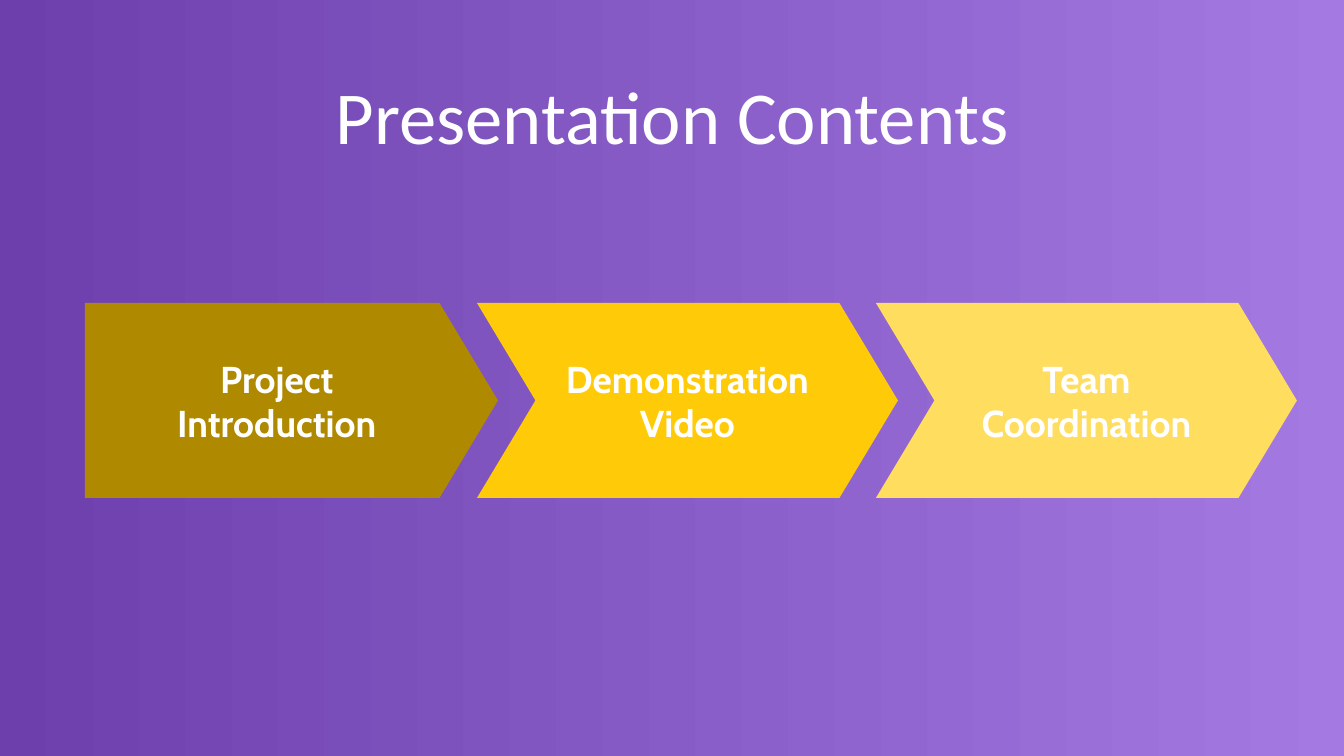
from pptx import Presentation
from pptx.dml.color import RGBColor
from pptx.enum.shapes import MSO_SHAPE
from pptx.enum.text import MSO_ANCHOR, PP_ALIGN
from pptx.util import Pt

PX = 914400 / 134.4
PLATE = MSO_SHAPE.PENTAGON
CHEVRON = MSO_SHAPE.CHEVRON
MIDDLE = MSO_ANCHOR.MIDDLE
CENTER = PP_ALIGN.CENTER

WHITE = RGBColor(0xFF, 0xFF, 0xFF)
DARK = RGBColor(0x6C, 0x3F, 0xAC)
LIGHT = RGBColor(0xA4, 0x79, 0xE2)
OCHRE = RGBColor(0xAF, 0x8A, 0x00)
GOLD = RGBColor(0xFF, 0xCA, 0x07)
CREAM = RGBColor(0xFF, 0xDD, 0x5F)


def px(*nums):
    return [round(n * PX) for n in nums]


def set_text(shape, text, font, size, bold):
    frame = shape.text_frame
    frame.text = text
    frame.word_wrap = True
    frame.vertical_anchor = MIDDLE
    frame.margin_left = frame.margin_right = px(13)[0]
    frame.margin_top = frame.margin_bottom = px(13)[0]
    for para in frame.paragraphs:
        para.alignment = CENTER
        for run in para.runs:
            run.font.name = font
            run.font.size = Pt(size)
            run.font.bold = bold
            run.font.color.rgb = WHITE


deck = Presentation()
deck.slide_width, deck.slide_height = px(1344, 756)
slide = deck.slides.add_slide(deck.slide_layouts[6])

# Background, dark to light from left to right
fill = slide.background.fill
fill.gradient()
fill.gradient_angle = 0
for stop, color in zip(fill.gradient_stops, (DARK, LIGHT)):
    stop.color.rgb = color

# Title
title = slide.shapes.add_textbox(*px(106, 77, 1133, 75))
set_text(title, "Presentation Contents", "Calibri", 40, False)

# Steps
steps = [
    (PLATE, 85, 413, OCHRE, "Project\nIntroduction"),
    (CHEVRON, 477, 421, GOLD, "Demonstration Video"),
    (CHEVRON, 876, 421, CREAM, "Team Coordination"),
]
for kind, left, width, color, text in steps:
    step = slide.shapes.add_shape(kind, *px(left, 303, width, 195))
    step.adjustments[0] = 0.3
    step.shadow.inherit = False
    step.fill.solid()
    step.fill.fore_color.rgb = color
    step.line.fill.background()
    set_text(step, text, "Cabin", 20, True)

deck.save("out.pptx")
